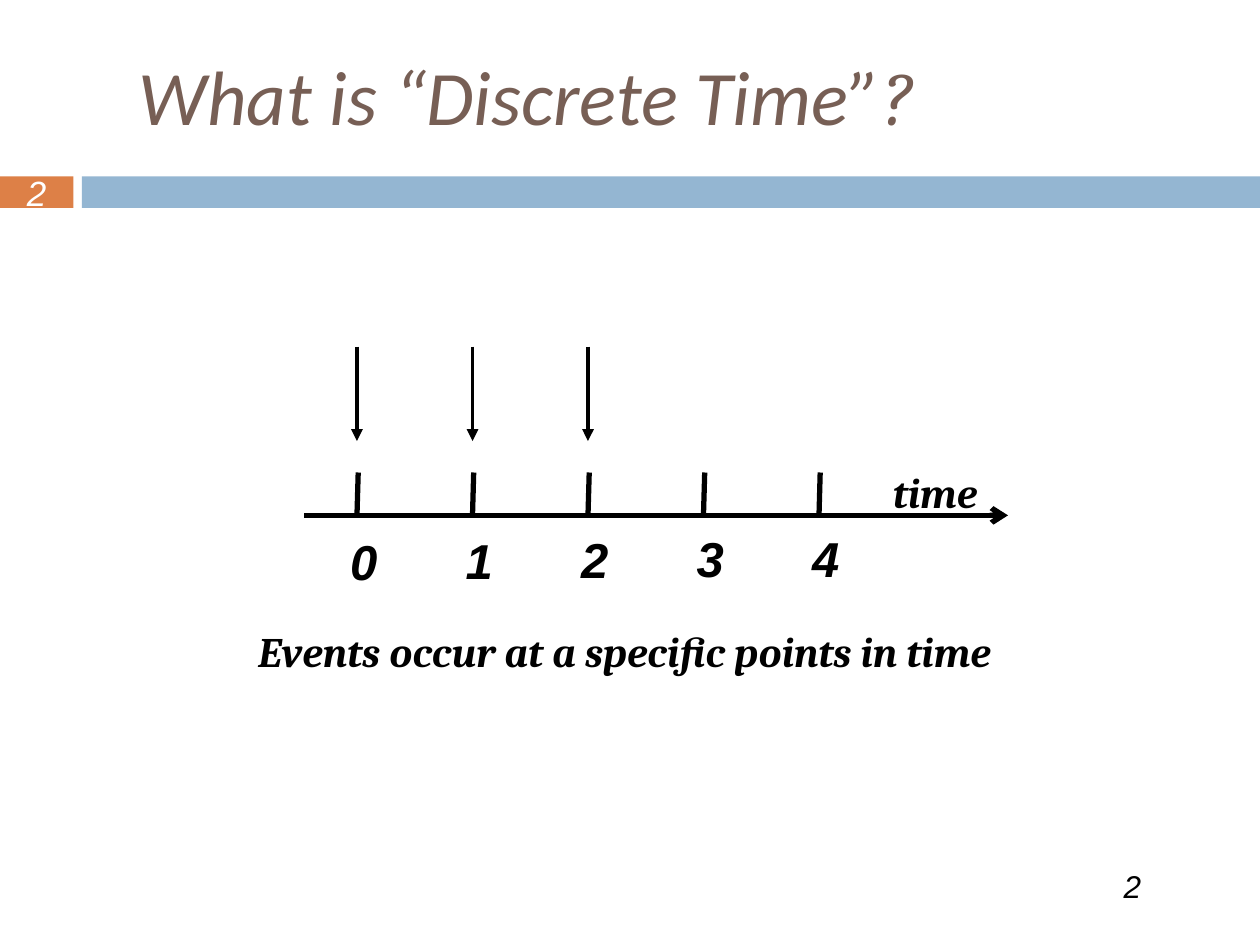
from dataclasses import dataclass

from lxml import etree
from pptx import Presentation
from pptx.dml.color import RGBColor
from pptx.enum.shapes import MSO_CONNECTOR, MSO_SHAPE
from pptx.enum.text import MSO_ANCHOR, MSO_AUTO_SIZE, PP_ALIGN
from pptx.oxml.ns import qn
from pptx.util import Pt

STRAIGHT = MSO_CONNECTOR.STRAIGHT
RECTANGLE = MSO_SHAPE.RECTANGLE
MIDDLE, TOP = MSO_ANCHOR.MIDDLE, MSO_ANCHOR.TOP
CENTER, LEFT = PP_ALIGN.CENTER, PP_ALIGN.LEFT
FIT_SHAPE, NO_FIT = MSO_AUTO_SIZE.SHAPE_TO_FIT_TEXT, MSO_AUTO_SIZE.NONE
TITLE_ONLY = 5


@dataclass(frozen=True)
class Theme:
    ink: RGBColor = RGBColor(0x00, 0x00, 0x00)
    paper: RGBColor = RGBColor(0xFF, 0xFF, 0xFF)
    heading: RGBColor = RGBColor(0x77, 0x5F, 0x55)
    accent: RGBColor = RGBColor(0xDD, 0x80, 0x47)
    band: RGBColor = RGBColor(0x94, 0xB6, 0xD2)
    title_size: int = 44
    label_size: int = 28
    caption_size: int = 24
    badge_size: int = 20
    footer_size: int = 18
    axis_width: float = 3
    event_width: float = 2.25
    sans: str = "Arial"
    serif: str = "Cambria"
    title_face: str = "Calibri"


@dataclass(frozen=True)
class Box:
    left: float
    top: float
    width: float
    height: float

    def inner(self, x, y, width, height):
        """Return a box given relative to this one."""
        return Box(self.left + x, self.top + y, width, height)

    def points(self):
        return [Pt(v) for v in (self.left, self.top, self.width, self.height)]


THEME = Theme()
BADGE_TEXT = {"word_wrap": True, "vertical_anchor": MIDDLE, "auto_size": NO_FIT,
              "margin_top": 0, "margin_bottom": 0}
LABEL_TEXT = {"word_wrap": False, "vertical_anchor": TOP, "auto_size": FIT_SHAPE}
TITLE_TEXT = {"word_wrap": True, "vertical_anchor": MIDDLE, "auto_size": NO_FIT}


def apply(target, formats):
    for name, value in formats.items():
        setattr(target, name, value)


def add_run(paragraph, text, face, size, color, bold=False):
    run = paragraph.add_run()
    run.text = text
    apply(run.font, {"name": face, "size": Pt(size), "bold": bold, "italic": True})
    run.font.color.rgb = color


def add_label(slide, box, text, face, size, color=THEME.ink, bold=True,
              formats=LABEL_TEXT, align=LEFT):
    frame = slide.shapes.add_textbox(*box.points()).text_frame
    apply(frame, formats)
    paragraph = frame.paragraphs[0]
    paragraph.alignment = align
    add_run(paragraph, text, face, size, color, bold)


def add_line(slide, box, start, end, width, head=None):
    """Draw a line between two points relative to the box."""
    ends = [Pt(v) for x, y in (start, end) for v in (box.left + x, box.top + y)]
    connector = slide.shapes.add_connector(STRAIGHT, *ends)
    connector.line.color.rgb = THEME.ink
    connector.line.width = Pt(width)
    if head:
        outline = connector.line._get_or_add_ln()
        etree.SubElement(outline, qn("a:tailEnd"), type=head)
    etree.SubElement(connector._element.spPr, qn("a:effectLst"))


def add_band(slide, box, number):
    badge_width, gap, overhang = 42, 4.8, 3
    bar_left = badge_width + gap
    badge = box.inner(0, 0, badge_width, box.height)
    bar = box.inner(bar_left, 0, box.width - bar_left, box.height)
    for part, color in ((badge, THEME.accent), (bar, THEME.band)):
        shape = slide.shapes.add_shape(RECTANGLE, *part.points())
        shape.shadow.inherit = False
        shape.fill.solid()
        shape.fill.fore_color.rgb = color
        shape.line.fill.background()
    # The text line is taller than the badge, so its box extends evenly past it.
    number_box = badge.inner(0, -overhang, badge_width, box.height + 2 * overhang)
    add_label(slide, number_box, number, THEME.sans, THEME.badge_size,
              THEME.paper, bold=False, formats=BADGE_TEXT, align=CENTER)


def add_title(slide, box):
    title = slide.shapes.title
    apply(title, dict(zip(("left", "top", "width", "height"), box.points())))
    frame = title.text_frame
    apply(frame, TITLE_TEXT)
    paragraph = frame.paragraphs[0]
    paragraph.alignment = LEFT
    for text, face in (("What is “Discrete Time”", THEME.title_face),
                       ("?", THEME.serif)):
        add_run(paragraph, text, face, THEME.title_size, THEME.heading)


def add_timeline(slide, box, tick_count, event_count):
    first_tick, tick_gap, tick_slant = 30, 66, 0.7
    axis_y, tick_height, event_height = 96.5, 24.5, 54
    label_left, label_top, label_rise = -11, 102.2, 0.5

    add_line(slide, box, (0, axis_y), (box.width, axis_y), THEME.axis_width, "arrow")
    for tick in range(tick_count):
        x = first_tick + tick * tick_gap
        add_line(slide, box, (x + tick_slant, axis_y - tick_height), (x, axis_y),
                 THEME.axis_width)
        label = box.inner(x + label_left, label_top - tick * label_rise, 23, 41)
        add_label(slide, label, str(tick), THEME.sans, THEME.label_size)
        if tick < event_count:
            add_line(slide, box, (x, 0), (x, event_height),
                     THEME.event_width, "triangle")
    add_label(slide, box.inner(329.3, 64.8, 62.6, 36), "time",
              THEME.serif, THEME.caption_size)


def build_slide(presentation, page):
    slide = presentation.slides.add_slide(presentation.slide_layouts[TITLE_ONLY])
    number = "2"
    add_band(slide, page.inner(0, 100.8, page.width, 18), number)
    add_title(slide, page.inner(72, 0, page.width - 72, 108))
    add_timeline(slide, page.inner(174, 198, 402, 143), tick_count=5, event_count=3)
    add_label(slide, page.inner(140.4, 354.2, 433.4, 36),
              "Events occur at a specific points in time",
              THEME.serif, THEME.caption_size)
    add_label(slide, page.inner(635, 491.8, 96.5, 28.8), number,
              THEME.sans, THEME.footer_size, bold=False)


def main():
    page = Box(0, 0, 720, 540)
    presentation = Presentation()
    presentation.slide_width = Pt(page.width)
    presentation.slide_height = Pt(page.height)
    build_slide(presentation, page)
    presentation.save("out.pptx")


if __name__ == "__main__":
    main()
